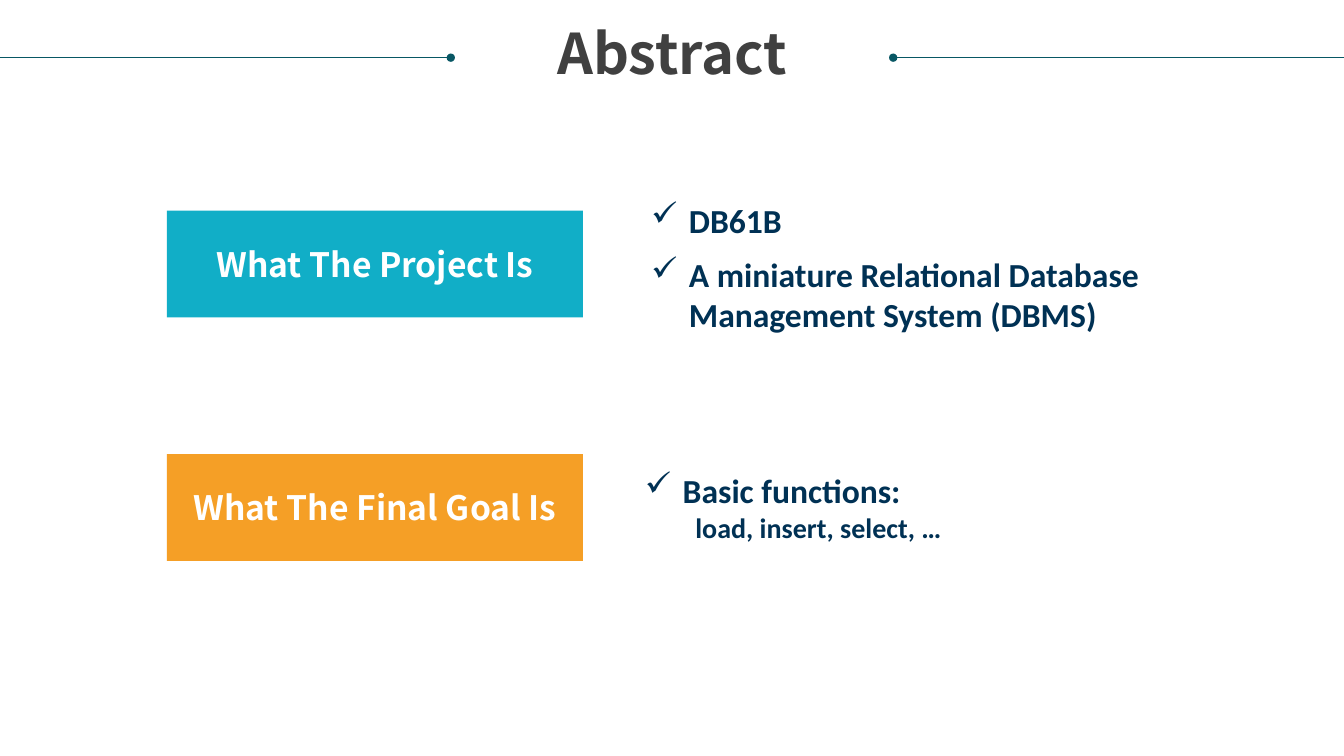
from lxml.etree import SubElement
from pptx import Presentation
from pptx.dml.color import RGBColor
from pptx.enum.shapes import MSO_CONNECTOR, MSO_SHAPE
from pptx.enum.text import MSO_ANCHOR, PP_ALIGN
from pptx.oxml.ns import qn
from pptx.util import Pt

COLORS = {"rule": "085764", "title": "404040", "white": "FFFFFF",
          "teal": "11AEC7", "orange": "F59F26", "navy": "003154"}
HEAD = "Noto Sans CJK SC"
BODY = "Calibri"
WIDTH, HEIGHT = 960, 540


def color(name):
    return RGBColor.from_string(COLORS[name])


def style(para, face, size, ink):
    font = para.font
    font.name, font.size, font.bold = face, Pt(size), True
    font.color.rgb = color(ink)


def add_rule(slide, edge, dot):
    """Draw a line from the slide's edge to a round end at dot."""
    y = Pt(41.2)
    rule = slide.shapes.add_connector(MSO_CONNECTOR.STRAIGHT, Pt(edge), y, Pt(dot), y)
    rule.line.color.rgb = color("rule")
    rule.line.width = Pt(0.5)
    SubElement(rule.line._get_or_add_ln(), qn("a:tailEnd"), type="oval")
    SubElement(rule._element.spPr, qn("a:effectLst"))


def add_text(slide, left, top, width, height):
    box = slide.shapes.add_textbox(Pt(left), Pt(top), Pt(width), Pt(height))
    box.text_frame.word_wrap = True
    return box.text_frame


def add_title(slide, text):
    frame = add_text(slide, 18, 18.7, WIDTH - 36, 44)
    frame.margin_left = frame.margin_right = 0
    frame.margin_top = frame.margin_bottom = 0
    para = frame.paragraphs[0]
    para.text = text
    para.alignment = PP_ALIGN.CENTER
    para.line_spacing = 0.9
    style(para, HEAD, 40, "title")


def add_label(slide, top, text, fill):
    label = slide.shapes.add_shape(MSO_SHAPE.RECTANGLE, Pt(119.3), Pt(top), Pt(297), Pt(76.3))
    label.shadow.inherit = False
    label.fill.solid()
    label.fill.fore_color.rgb = color(fill)
    label.line.fill.background()
    label.text_frame.vertical_anchor = MSO_ANCHOR.MIDDLE
    para = label.text_frame.paragraphs[0]
    para.text = text
    para.alignment = PP_ALIGN.CENTER
    style(para, HEAD, 24, "white")


def add_points(slide, left, top, height, points, gap=0):
    """List (text, level) points: level 0 has a check mark, level 1 is smaller and plain."""
    frame = add_text(slide, left, top, 371.5, height)
    for i, (text, level) in enumerate(points):
        para = frame.add_paragraph() if i else frame.paragraphs[0]
        para.text = text
        para.level = level
        para.space_before = Pt(gap)
        style(para, BODY, 20 if level else 24, "navy")
        props = para._p.get_or_add_pPr()
        props.set("marL", str(Pt(36 if level else 27)))
        props.set("indent", str(Pt(0 if level else -27)))
        if not level:
            mark = SubElement(props, qn("a:buChar"), char="✓")
            props.find(qn("a:defRPr")).addprevious(mark)


def main():
    deck = Presentation()
    deck.slide_width, deck.slide_height = Pt(WIDTH), Pt(HEIGHT)
    slide = deck.slides.add_slide(deck.slide_layouts[6])
    add_rule(slide, WIDTH, 638)
    add_rule(slide, 0, 322)
    add_title(slide, "Abstract")
    add_label(slide, 150.4, "What The Project Is", "teal")
    add_points(slide, 458, 139, 104.4, [
        ("DB61B", 0),
        ("A miniature Relational Database Management System (DBMS)", 0)], gap=10)
    add_label(slide, 324.4, "What The Final Goal Is", "orange")
    add_points(slide, 453.6, 332, 60.5, [
        ("Basic functions:", 0), ("load, insert, select, …", 1)])
    deck.save("out.pptx")


if __name__ == "__main__":
    main()
